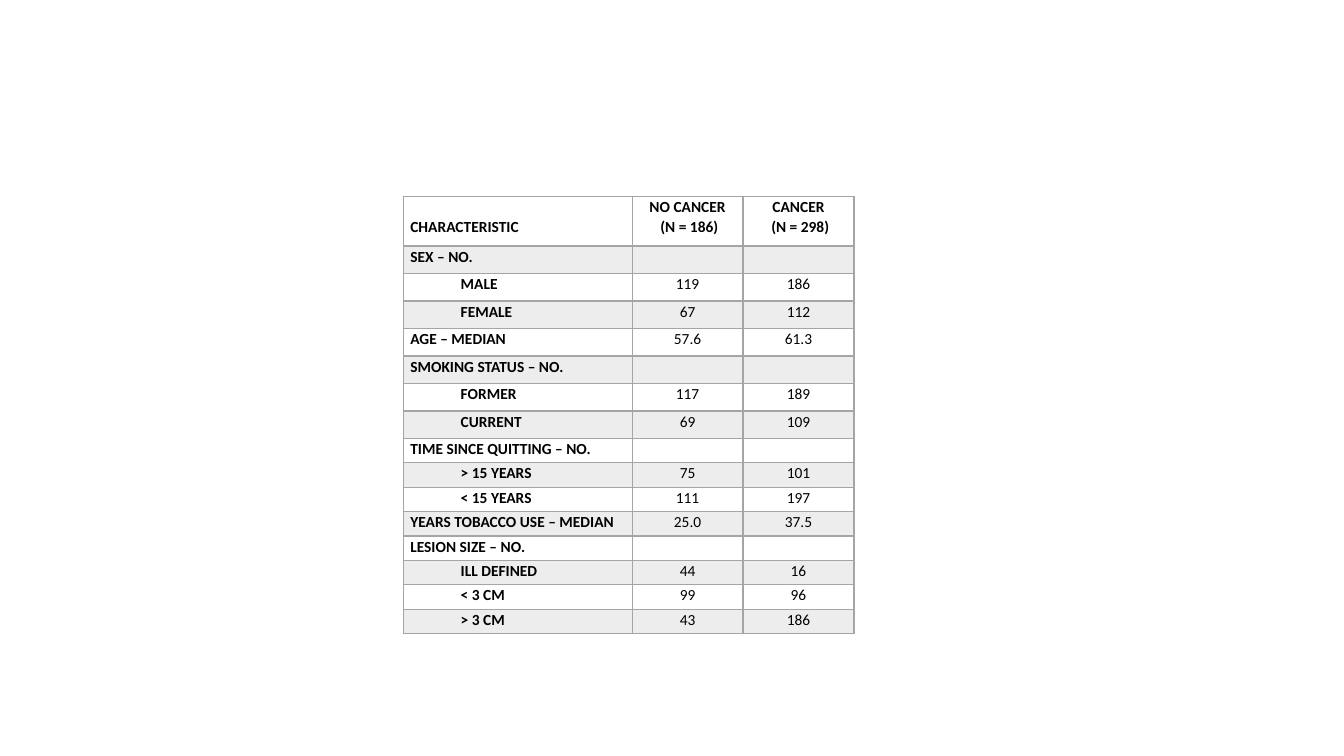
from lxml.etree import SubElement
from pptx import Presentation
from pptx.dml.color import RGBColor
from pptx.enum.text import PP_ALIGN
from pptx.oxml.ns import qn
from pptx.util import Inches, Pt

BLACK = RGBColor(0x00, 0x00, 0x00)
WHITE = RGBColor(0xFF, 0xFF, 0xFF)
BAND = RGBColor(0xED, 0xED, 0xED)
BORDER = RGBColor(0xA5, 0xA5, 0xA5)

HEADER = ("CHARACTERISTIC", "NO CANCER\n (N = 186)", "CANCER\n (N = 298)")
GROUPS = ("SEX – NO.", "AGE – MEDIAN", "SMOKING STATUS – NO.", "TIME SINCE QUITTING – NO.",
          "YEARS TOBACCO USE – MEDIAN", "LESION SIZE – NO.")
ROWS = [
    HEADER,
    ("SEX – NO.", "", ""),
    ("MALE", "119", "186"),
    ("FEMALE", "67", "112"),
    ("AGE – MEDIAN", "57.6", "61.3"),
    ("SMOKING STATUS – NO.", "", ""),
    ("FORMER", "117", "189"),
    ("CURRENT", "69", "109"),
    ("TIME SINCE QUITTING – NO.", "", ""),
    ("> 15 YEARS", "75", "101"),
    ("< 15 YEARS", "111", "197"),
    ("YEARS TOBACCO USE – MEDIAN", "25.0", "37.5"),
    ("LESION SIZE – NO.", "", ""),
    ("ILL DEFINED", "44", "16"),
    ("< 3 CM", "99", "96"),
    ("> 3 CM", "43", "186"),
]
COLUMN_WIDTHS = (2.27, 1.1, 1.1)
ROW_HEIGHTS = [0.49] + [1.91 / 7] * 7 + [1.94 / 8] * 8
MARGINS = {"margin_left": Inches(0.07), "margin_right": Inches(0.07),
           "margin_top": 0, "margin_bottom": 0}
FONT = {"name": "Calibri", "size": Pt(11)}


def add_borders(cell, widths):
    properties = cell._tc.get_or_add_tcPr()
    for position, (side, width) in enumerate(widths.items()):
        line = properties.makeelement(qn(f"a:{side}"), {"w": str(Pt(width))})
        fill = SubElement(line, qn("a:solidFill"))
        SubElement(fill, qn("a:srgbClr"), val=str(BORDER))
        properties.insert(position, line)


deck = Presentation()
deck.slide_width = Inches(13.33)
deck.slide_height = Inches(7.5)
page = deck.slides.add_slide(deck.slide_layouts[6])

frame = page.shapes.add_table(len(ROWS), len(HEADER), Inches(4), Inches(1.95),
                              Inches(sum(COLUMN_WIDTHS)), Inches(sum(ROW_HEIGHTS)))
table = frame.table
table.horz_banding = False
for column, width in zip(table.columns, COLUMN_WIDTHS):
    column.width = Inches(width)
for row, height in zip(table.rows, ROW_HEIGHTS):
    row.height = Inches(height)

for row_index, values in enumerate(ROWS):
    for column_index, value in enumerate(values):
        cell = table.cell(row_index, column_index)
        cell.text = value
        for name, setting in MARGINS.items():
            setattr(cell, name, setting)
        cell.fill.solid()
        cell.fill.fore_color.rgb = BAND if row_index % 2 else WHITE
        add_borders(cell, {"lnL": 1, "lnR": 1, "lnT": 2 if row_index == 1 else 1,
                           "lnB": 1 if row_index else 2})
        for para in cell.text_frame.paragraphs:
            para.line_spacing = 1.07
            if column_index:
                para.alignment = PP_ALIGN.CENTER
            elif row_index and value not in GROUPS:
                para._p.get_or_add_pPr().set("marL", str(Inches(0.5)))
            for span in para.runs:
                for name, setting in FONT.items():
                    setattr(span.font, name, setting)
                span.font.bold = row_index == 0 or column_index == 0
                span.font.color.rgb = BLACK
            if not value:
                SubElement(para._p, qn("a:endParaRPr"), sz="1100")

table.cell(0, 0).margin_top = Inches(0.2)

deck.save("out.pptx")
